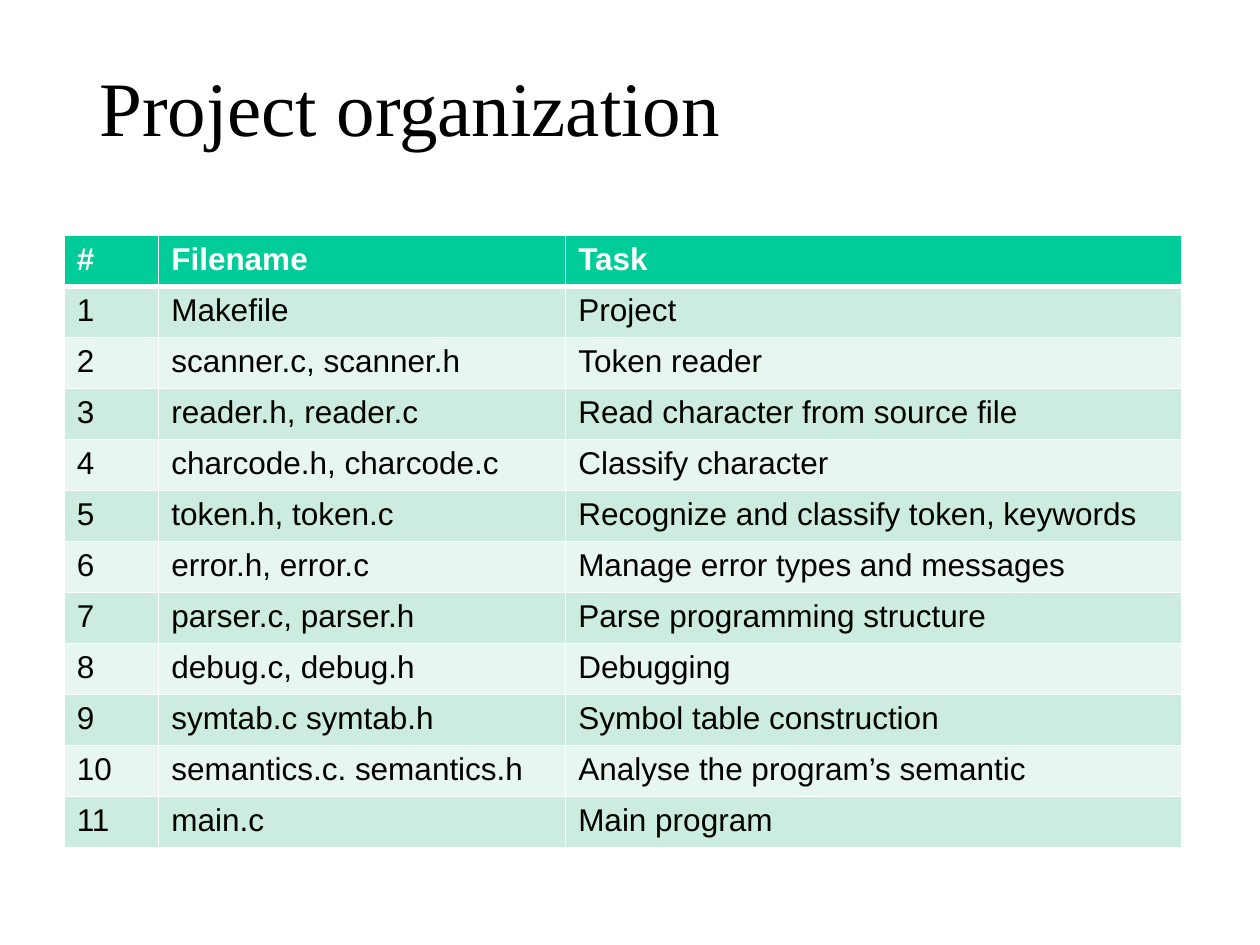
import pptx
import pptx.dml.color
import pptx.enum.text
import pptx.oxml.ns
import pptx.util
from lxml import etree
from pptx.util import Inches

RGBColor = pptx.dml.color.RGBColor
BLACK = RGBColor(0x00, 0x00, 0x00)
WHITE = RGBColor(0xFF, 0xFF, 0xFF)
HEADER_GREEN = RGBColor(0x00, 0xCC, 0x99)
ODD_GREEN = RGBColor(0xCB, 0xEC, 0xDE)
EVEN_GREEN = RGBColor(0xE7, 0xF6, 0xEF)

COLUMN_WIDTHS = (0.75, 3.23, 4.89)
TABLE_HEIGHT = 4.86
HEADINGS = ("#", "Filename", "Task")
FILES = (
    ("Makefile", "Project"),
    ("scanner.c, scanner.h", "Token reader"),
    ("reader.h, reader.c", "Read character from source file"),
    ("charcode.h, charcode.c", "Classify character"),
    ("token.h, token.c", "Recognize and classify token, keywords"),
    ("error.h, error.c", "Manage error types and messages"),
    ("parser.c, parser.h", "Parse programming structure"),
    ("debug.c, debug.h", "Debugging"),
    ("symtab.c symtab.h", "Symbol table construction"),
    ("semantics.c. semantics.h", "Analyse the program’s semantic"),
    ("main.c", "Main program"),
)


def write_text(frame, text, *, size, font, color, bold=False, line_spacing=None):
    para = frame.paragraphs[0]
    para.line_spacing = line_spacing
    span = para.add_run()
    span.text = text
    span.font.size = pptx.util.Pt(size)
    span.font.name = font
    span.font.bold = bold
    span.font.color.rgb = color


def add_title(page, text):
    box = page.shapes.add_textbox(Inches(0.69), Inches(0.16), Inches(8.62), Inches(1.45))
    frame = box.text_frame
    frame.word_wrap = True
    frame.vertical_anchor = pptx.enum.text.MSO_ANCHOR.MIDDLE
    write_text(frame, text, size=44, font="Times New Roman", color=BLACK, line_spacing=0.9)


def set_borders(cell, color, **widths):
    qn = pptx.oxml.ns.qn
    properties = cell._tc.get_or_add_tcPr()
    for side in "LRTB":
        width = pptx.util.Pt(widths.get(side, 1))
        line = etree.SubElement(properties, qn(f"a:ln{side}"), w=str(width))
        fill = etree.SubElement(line, qn("a:solidFill"))
        etree.SubElement(fill, qn("a:srgbClr"), val=str(color))


def format_cell(cell, text, row):
    header = row == 0
    if header:
        set_borders(cell, WHITE, B=3)
        color = HEADER_GREEN
    else:
        set_borders(cell, WHITE, T=3 if row == 1 else 1)
        color = ODD_GREEN if row % 2 else EVEN_GREEN
    cell.fill.solid()
    cell.fill.fore_color.rgb = color
    write_text(cell.text_frame, text, size=18, font="Arial",
               color=WHITE if header else BLACK, bold=header)


def add_file_table(page):
    rows = [HEADINGS] + [(str(number), *entry) for number, entry in enumerate(FILES, 1)]
    table = page.shapes.add_table(
        len(rows), len(HEADINGS), Inches(0.51), Inches(1.87),
        Inches(sum(COLUMN_WIDTHS)), Inches(TABLE_HEIGHT)).table
    for column, width in zip(table.columns, COLUMN_WIDTHS):
        column.width = Inches(width)
    for row, texts in enumerate(rows):
        for column, text in enumerate(texts):
            format_cell(table.cell(row, column), text, row)


def main():
    deck = pptx.Presentation()
    deck.slide_width = Inches(10)
    deck.slide_height = Inches(7.5)
    page = deck.slides.add_slide(deck.slide_layouts[6])
    add_title(page, "Project organization")
    add_file_table(page)
    deck.save("out.pptx")


if __name__ == "__main__":
    main()
